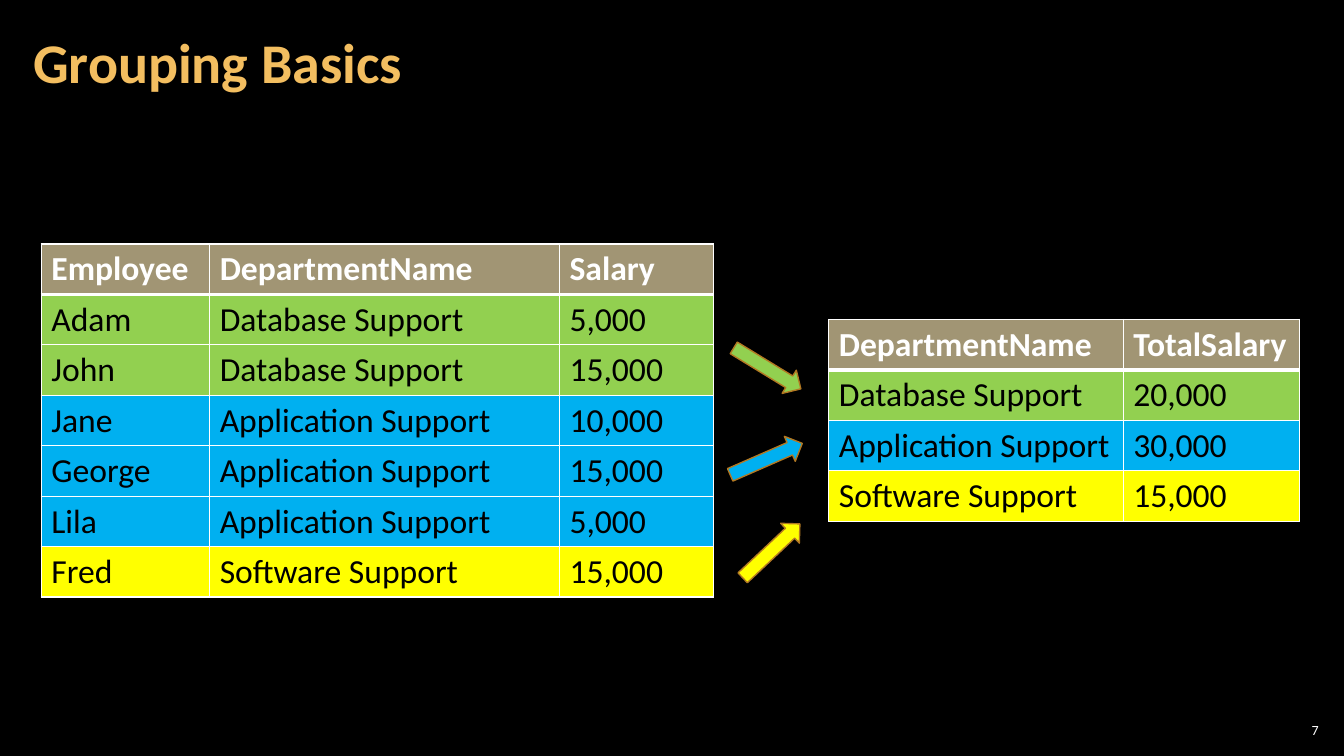
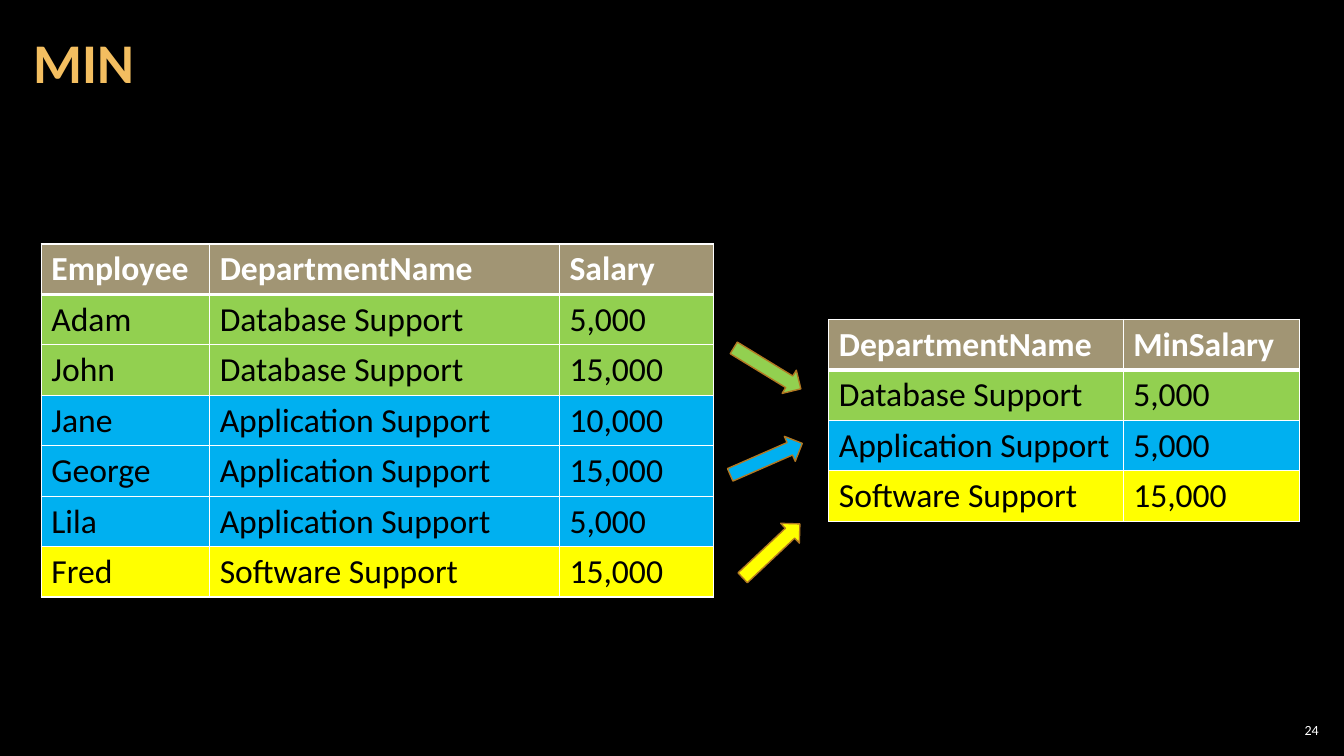
from dataclasses import dataclass

from lxml.etree import SubElement
from pptx import Presentation
from pptx.dml.color import RGBColor
from pptx.enum.shapes import MSO_SHAPE
from pptx.enum.text import MSO_ANCHOR, PP_ALIGN
from pptx.oxml.ns import qn
from pptx.util import Inches, Pt


@dataclass(frozen=True)
class Theme:
    """Colours, font and type sizes shared by all slides."""
    background: str = "000000"
    title: str = "F3BE60"
    light: str = "FFFFFF"
    dark: str = "000000"
    header: str = "A19574"
    arrow_line: str = "B27822"
    green: str = "92D050"
    blue: str = "00B0F0"
    yellow: str = "FFFF00"
    font: str = "Calibri"
    title_size: int = 40
    table_size: int = 24
    number_size: int = 10
    thin: int = 1
    thick: int = 3


THEME = Theme()
ROW_HEIGHT = 0.5
DEPARTMENT_COLORS = {
    "Database Support": THEME.green,
    "Application Support": THEME.blue,
    "Software Support": THEME.yellow,
}
EMPLOYEES = [
    ("Adam", "Database Support", 5000),
    ("John", "Database Support", 15000),
    ("Jane", "Application Support", 10000),
    ("George", "Application Support", 15000),
    ("Lila", "Application Support", 5000),
    ("Fred", "Software Support", 15000),
]
# Left, top and rotation of the arrow for each department
ARROWS = [(7.22, 3.52, 31.4), (7.21, 4.42, 336.4), (7.26, 5.33, 316.7)]


def write_text(frame, text, *, size, color, bold=False,
               align=PP_ALIGN.LEFT, line_spacing=None):
    """Write one formatted paragraph into a text frame."""
    paragraph = frame.paragraphs[0]
    paragraph.alignment = align
    if line_spacing:
        paragraph.line_spacing = line_spacing
    run = paragraph.add_run()
    run.text = text
    run.font.name = THEME.font
    run.font.size = Pt(size)
    run.font.bold = bold
    run.font.color.rgb = RGBColor.from_string(color)


def set_fill(fill, color):
    """Make a fill solid in the given colour."""
    fill.solid()
    fill.fore_color.rgb = RGBColor.from_string(color)


def set_borders(cell, color, *, top, bottom):
    """Draw the four borders of a table cell, widths in points."""
    properties = cell._tc.get_or_add_tcPr()
    widths = {"lnL": THEME.thin, "lnR": THEME.thin, "lnT": top, "lnB": bottom}
    for side, width in widths.items():
        line = SubElement(properties, qn(f"a:{side}"), w=str(Pt(width)))
        fill = SubElement(line, qn("a:solidFill"))
        SubElement(fill, qn("a:srgbClr"), val=color)


class Deck:
    """Holds the presentation, its style and the current slide."""

    def __init__(self, theme):
        """Start a wide presentation with a plain background."""
        self.theme = theme
        self.presentation = Presentation()
        self.presentation.slide_width = Inches(13.33)
        self.presentation.slide_height = Inches(7.5)
        set_fill(self.presentation.slide_master.background.fill, theme.background)
        self.slide = None

    def add_slide(self, title, number):
        """Add a slide with its title and slide number."""
        layout = self.presentation.slide_layouts[6]
        self.slide = self.presentation.slides.add_slide(layout)
        self.text(str(number), 12.65, 7.14, 0.47, 0.21, 0.04,
                  size=self.theme.number_size, color=self.theme.light,
                  align=PP_ALIGN.RIGHT)
        self.text(title, 0.21, 0.04, 10.47, 1.21, 0.12,
                  size=self.theme.title_size, color=self.theme.title,
                  bold=True, line_spacing=0.9)

    def text(self, text, left, top, width, height, side_margin, **text_format):
        """Add a vertically centred text box."""
        box = self.slide.shapes.add_textbox(
            Inches(left), Inches(top), Inches(width), Inches(height))
        frame = box.text_frame
        frame.word_wrap = True
        frame.vertical_anchor = MSO_ANCHOR.MIDDLE
        frame.margin_left = frame.margin_right = Inches(side_margin)
        frame.margin_top = frame.margin_bottom = Inches(0.04)
        write_text(frame, text, **text_format)

    def table(self, left, top, widths, header, rows, row_colors):
        """Add a table with a header row and one fill colour per body row."""
        theme = self.theme
        all_rows = [header, *rows]
        table = self.slide.shapes.add_table(
            len(all_rows), len(widths), Inches(left), Inches(top),
            Inches(sum(widths)), Inches(ROW_HEIGHT * len(all_rows))).table
        for column, width in zip(table.columns, widths):
            column.width = Inches(width)
        for row_index, values in enumerate(all_rows):
            is_header = row_index == 0
            for column_index, value in enumerate(values):
                cell = table.cell(row_index, column_index)
                set_borders(cell, theme.light,
                            top=theme.thick if row_index == 1 else theme.thin,
                            bottom=theme.thick if is_header else theme.thin)
                set_fill(cell.fill, theme.header if is_header
                         else row_colors[row_index - 1])
                write_text(cell.text_frame, value, size=theme.table_size,
                           color=theme.light if is_header else theme.dark,
                           bold=is_header)

    def arrow(self, left, top, rotation, color):
        """Add a rotated block arrow."""
        shape = self.slide.shapes.add_shape(
            MSO_SHAPE.RIGHT_ARROW, Inches(left), Inches(top),
            Inches(0.78), Inches(0.27))
        shape.rotation = rotation
        shape.shadow.inherit = False
        set_fill(shape.fill, color)
        set_fill(shape.line.fill, self.theme.arrow_line)
        shape.line.width = Pt(self.theme.thin)


def add_grouping_slide(deck, title, number, result_name, aggregate):
    """Show the employees and their salaries aggregated by department."""
    deck.add_slide(title, number)
    deck.table(0.41, 2.42, [1.67, 3.47, 1.53],
               ["Employee", "DepartmentName", "Salary"],
               [(name, department, f"{salary:,}")
                for name, department, salary in EMPLOYEES],
               [DEPARTMENT_COLORS[department] for _, department, _ in EMPLOYEES])
    results = []
    for group in DEPARTMENT_COLORS:
        salaries = [salary for _, department, salary in EMPLOYEES
                    if department == group]
        results.append((group, f"{aggregate(salaries):,}"))
    colors = list(DEPARTMENT_COLORS.values())
    deck.table(8.22, 3.17, [2.92, 1.75], ["DepartmentName", result_name],
               results, colors)
    for (left, top, rotation), color in zip(ARROWS, colors):
        deck.arrow(left, top, rotation, color)


def main():
    """Build and save the presentation."""
    deck = Deck(THEME)
    add_grouping_slide(deck, "Grouping Basics", 7, "TotalSalary", sum)
    add_grouping_slide(deck, "MIN", 24, "MinSalary", min)
    deck.presentation.save("out.pptx")


main()
